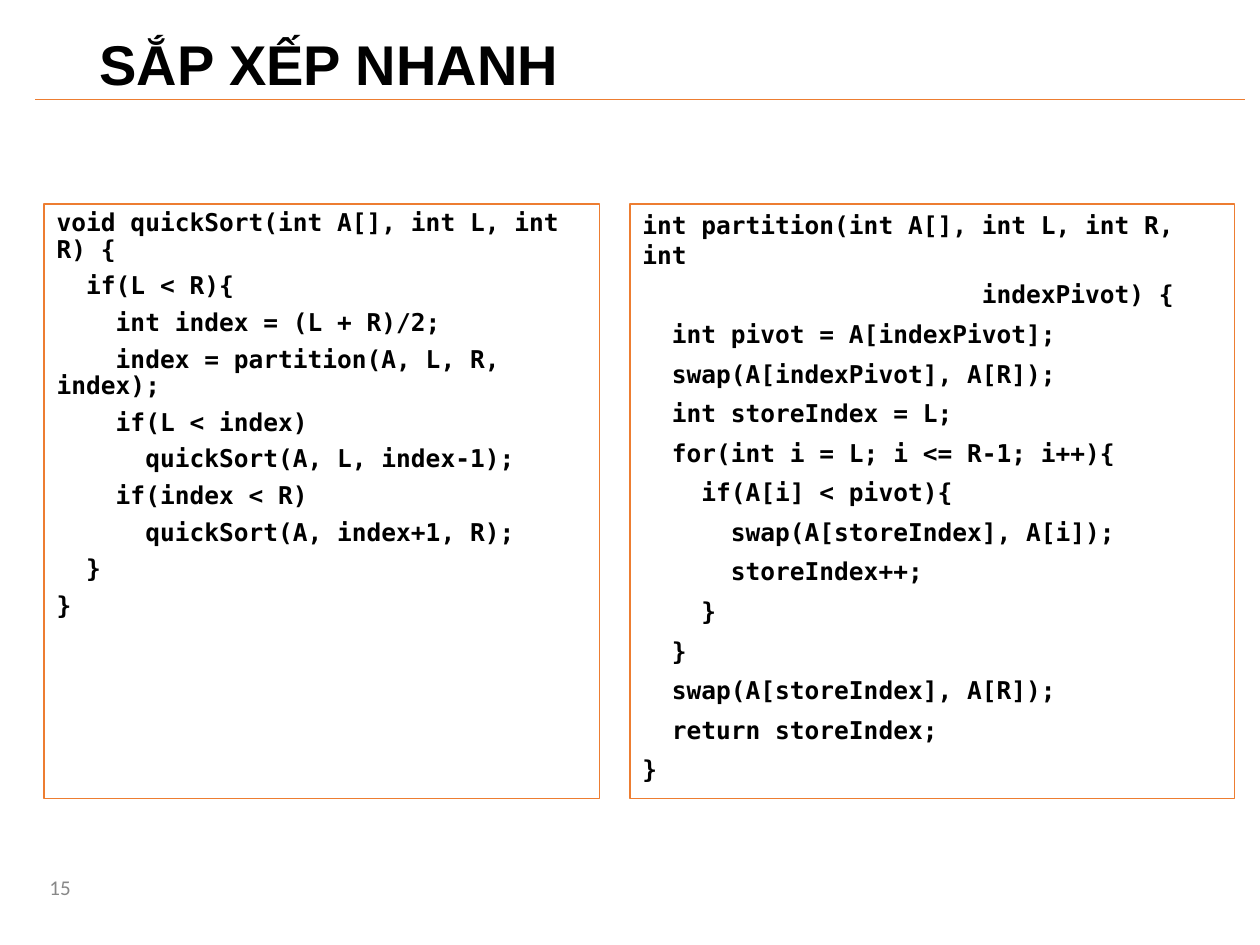
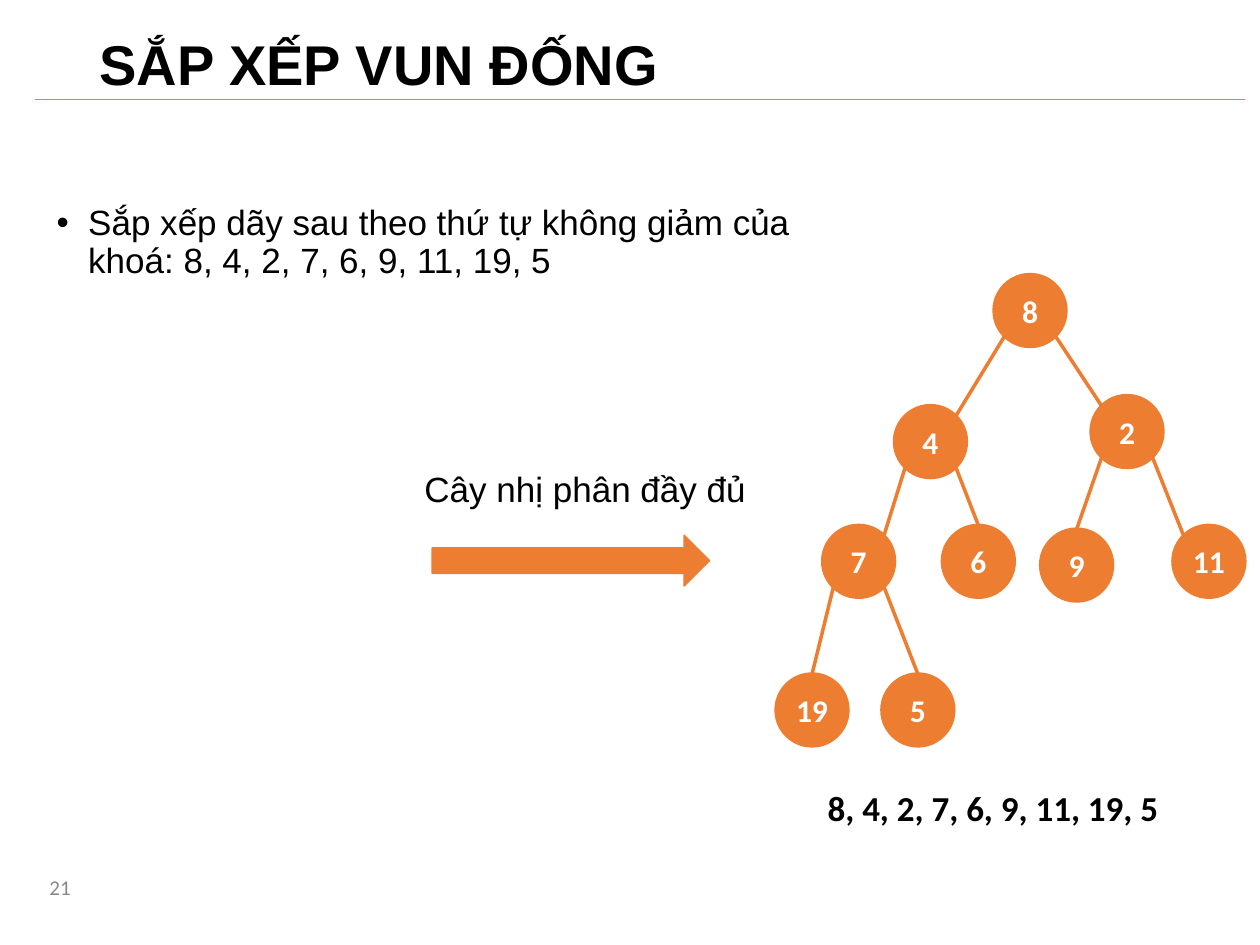
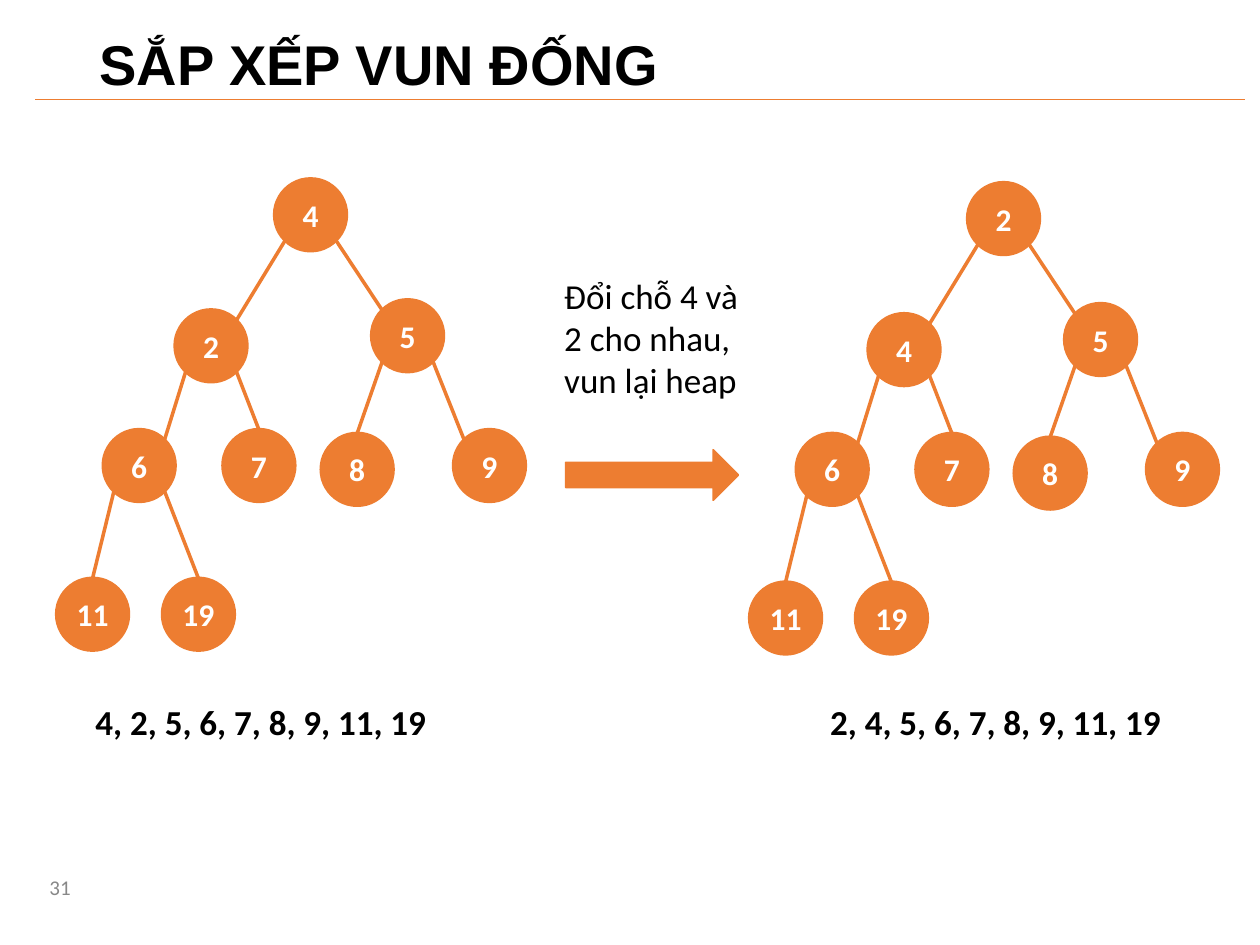
from lxml.etree import SubElement
from pptx import Presentation
from pptx.dml.color import RGBColor
from pptx.enum.shapes import MSO_CONNECTOR as Connector, MSO_SHAPE as Shape
from pptx.enum.text import MSO_ANCHOR as Anchor, MSO_AUTO_SIZE as AutoSize, PP_ALIGN as Align
from pptx.oxml.ns import qn
from pptx.util import Inches, Pt

COLORS = {"accent": "ED7D31", "text": "000000", "number": "888888", "white": "FFFFFF"}
SANS, BODY, MONO = "Arial", "Calibri", "DejaVu Sans Mono"
TITLE_AND_BODY, TITLE_ONLY = 1, 5
CODE_TOP, CODE_HEIGHT = 1.62, 4.72

NODE_SIZE = 0.57
NEAR, FAR = 0.15 * NODE_SIZE, 0.85 * NODE_SIZE
NODE_OFFSETS = [(0, 0), (-0.79, 1.04), (0.77, 0.96), (-1.36, 1.99), (-0.41, 1.99),
                (0.37, 2.02), (1.42, 1.99), (-1.73, 3.17), (-0.89, 3.17)]
LEFT_SITE, TOP_SITE, RIGHT_SITE = (NEAR, NEAR), (NODE_SIZE / 2, 0), (FAR, NEAR)
ENTRY_SITES = [RIGHT_SITE, LEFT_SITE, RIGHT_SITE, TOP_SITE,
               TOP_SITE, LEFT_SITE, TOP_SITE, TOP_SITE]

QUICK_SORT = """void quickSort(int A[], int L, int R) {
  if(L < R){
    int index = (L + R)/2;
    index = partition(A, L, R, index);
    if(L < index)
      quickSort(A, L, index-1);
    if(index < R)
      quickSort(A, index+1, R);
  }
}"""
PARTITION = """int partition(int A[], int L, int R, int
                       indexPivot) {
  int pivot = A[indexPivot];
  swap(A[indexPivot], A[R]);
  int storeIndex = L;
  for(int i = L; i <= R-1; i++){
    if(A[i] < pivot){
      swap(A[storeIndex], A[i]);
      storeIndex++;
    }
  }
  swap(A[storeIndex], A[R]);
  return storeIndex;
}"""


def color(name):
    """Return a palette colour."""
    return RGBColor.from_string(COLORS[name])


class Deck:
    """Hold the shared style and the current slide."""

    def __init__(self):
        """Start an empty presentation."""
        self.presentation = Presentation()
        self.presentation.slide_width = Inches(10)
        self.presentation.slide_height = Inches(7.5)
        self.slide = None

    def add_slide(self, title, number, layout=TITLE_AND_BODY):
        """Add a slide with its title, rule and number."""
        layouts = self.presentation.slide_layouts
        self.slide = self.presentation.slides.add_slide(layouts[layout])
        heading = self.slide.shapes.title
        self.place(heading, 0.69, 0.13, 8.62, 0.81)
        self.set_text(heading, title, 32, SANS, bold=True, anchor=Anchor.MIDDLE, spacing=0.9)
        self.label(number, 0.16, 6.79, 0.5, 0.5, size=12, ink="number",
                   align=Align.RIGHT, anchor=Anchor.MIDDLE)
        self.line((0.28, 0.79), (9.88, 0.79), 0.75)

    def place(self, shape, left, top, width, height):
        """Move and size a shape."""
        shape.left, shape.top = Inches(left), Inches(top)
        shape.width, shape.height = Inches(width), Inches(height)

    def set_text(self, shape, text, size, font, ink="text", bold=False, align=Align.LEFT,
                 anchor=Anchor.TOP, spacing=1.0, before=0, bullet=None, inset=None):
        """Fill a shape with evenly formatted paragraphs."""
        frame = shape.text_frame
        frame.text = text
        frame.word_wrap = True
        frame.auto_size = AutoSize.NONE
        frame.vertical_anchor = anchor
        if inset is not None:
            frame.margin_left = frame.margin_right = Inches(inset)
            frame.margin_top = frame.margin_bottom = Inches(inset)
        for index, paragraph in enumerate(frame.paragraphs):
            paragraph.alignment = align
            paragraph.line_spacing = spacing
            paragraph.space_before = Pt(before if index else 0)
            properties = paragraph._p.get_or_add_pPr()
            indent = Inches(0.25) if bullet else 0
            properties.set("marL", str(indent))
            properties.set("indent", str(-indent))
            if bullet:
                SubElement(properties, qn("a:buChar")).set("char", bullet)
            else:
                SubElement(properties, qn("a:buNone"))
            paragraph.font.size = Pt(size)
            paragraph.font.name = font
            paragraph.font.bold = bold
            paragraph.font.color.rgb = color(ink)

    def label(self, text, left, top, width, height=0.44, size=20, font=BODY, **style):
        """Add a text box."""
        box = self.slide.shapes.add_textbox(0, 0, 0, 0)
        self.place(box, left, top, width, height)
        self.set_text(box, text, size, font, **style)

    def bullet_list(self, text, left, top, width, height):
        """Fill the body placeholder with bullets."""
        body = self.slide.placeholders[1]
        self.place(body, left, top, width, height)
        self.set_text(body, text, 20, SANS, spacing=0.9, bullet="•")

    def code(self, shape, text, left, width, spacing=1.0):
        """Turn a shape into an outlined code panel."""
        self.place(shape, left, CODE_TOP, width, CODE_HEIGHT)
        shape.fill.background()
        shape.line.color.rgb = color("accent")
        shape.line.width = Pt(0.75)
        self.set_text(shape, text, 14, MONO, bold=True, spacing=spacing, before=5.8)

    def shape(self, kind, left, top, width, height, line_width=1):
        """Add a flat accent shape."""
        shape = self.slide.shapes.add_shape(kind, 0, 0, 0, 0)
        self.place(shape, left, top, width, height)
        shape.shadow.inherit = False
        shape.fill.solid()
        shape.fill.fore_color.rgb = color("accent")
        shape.line.color.rgb = color("accent")
        shape.line.width = Pt(line_width)
        return shape

    def line(self, start, end, width):
        """Add a straight accent line."""
        points = [Inches(value) for value in (*start, *end)]
        line = self.slide.shapes.add_connector(Connector.STRAIGHT, *points)
        line.line.color.rgb = color("accent")
        line.line.width = Pt(width)
        SubElement(line._element.spPr, qn("a:effectLst"))

    def tree(self, keys, left, top):
        """Draw a nine-node binary tree from its root corner."""
        corners = [(left + x, top + y) for x, y in NODE_OFFSETS]
        for key, corner in zip(keys, corners):
            node = self.shape(Shape.FLOWCHART_CONNECTOR, *corner, NODE_SIZE, NODE_SIZE, 2)
            self.set_text(node, str(key), 18, BODY, "white", True, Align.CENTER,
                          Anchor.MIDDLE, inset=0)
        for child, (entry_x, entry_y) in enumerate(ENTRY_SITES, start=1):
            parent_x, parent_y = corners[(child - 1) // 2]
            child_x, child_y = corners[child]
            exit_x = NEAR if child % 2 else FAR
            self.line((parent_x + exit_x, parent_y + FAR),
                      (child_x + entry_x, child_y + entry_y), 2)

    def sequence(self, keys, left, top, width):
        """Show the keys as a bold list."""
        self.label(", ".join(map(str, keys)), left, top, width, bold=True)


def main():
    """Build and save the slides."""
    deck = Deck()

    deck.add_slide("SẮP XẾP NHANH", "15")
    deck.code(deck.slide.placeholders[1], QUICK_SORT, 0.35, 4.41, 0.9)
    deck.code(deck.shape(Shape.RECTANGLE, 5, CODE_TOP, 4.8, CODE_HEIGHT), PARTITION, 5, 4.8)

    deck.add_slide("SẮP XẾP VUN ĐỐNG", "21")
    unsorted = [8, 4, 2, 7, 6, 9, 11, 19, 5]
    deck.bullet_list("Sắp xếp dãy sau theo thứ tự không giảm của khoá: "
                     "8, 4, 2, 7, 6, 9, 11, 19, 5", 0.35, 1.58, 6.48, 5.47)
    deck.tree(unsorted, 7.89, 2.18)
    deck.shape(Shape.RIGHT_ARROW, 3.43, 4.25, 2.2, 0.4)
    deck.label("Cây nhị phân đầy đủ", 3.27, 3.66, 2.83, font=SANS)
    deck.sequence(unsorted, 6.47, 6.19, 3.18)

    deck.add_slide("SẮP XẾP VUN ĐỐNG", "31", TITLE_ONLY)
    before_swap = [4, 2, 5, 6, 7, 8, 9, 11, 19]
    after_swap = [2, 4, 5, 6, 7, 8, 9, 11, 19]
    deck.shape(Shape.RIGHT_ARROW, 4.49, 3.57, 1.37, 0.4)
    deck.label("Đổi chỗ 4 và 2 cho nhau, vun lại heap", 4.38, 2.13, 1.76, 1.11)
    deck.tree(after_swap, 7.68, 1.45)
    deck.tree(before_swap, 2.18, 1.42)
    deck.sequence(before_swap, 0.66, 5.51, 4.06)
    deck.sequence(after_swap, 6.49, 5.51, 3.18)

    deck.presentation.save("out.pptx")


if __name__ == "__main__":
    main()
